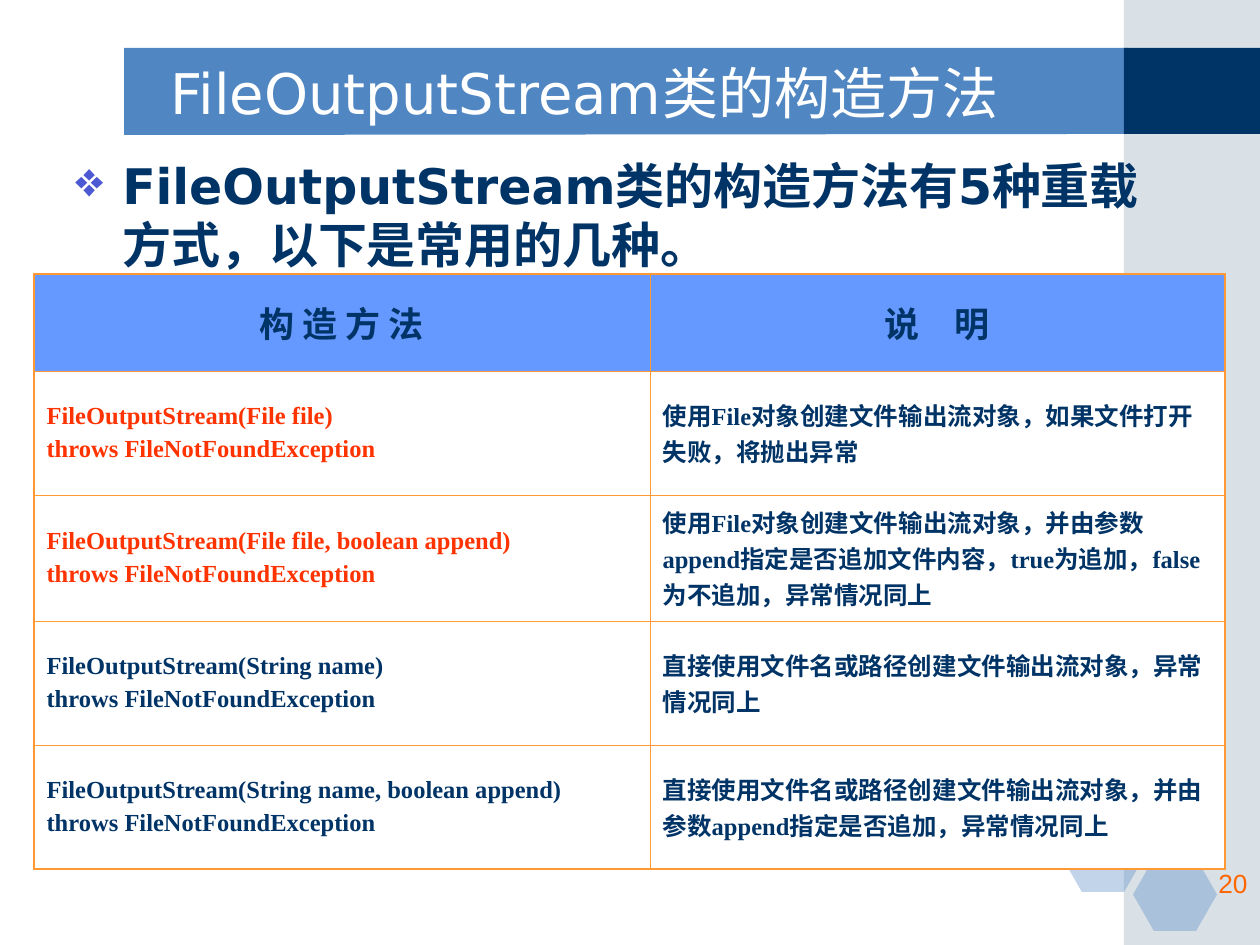
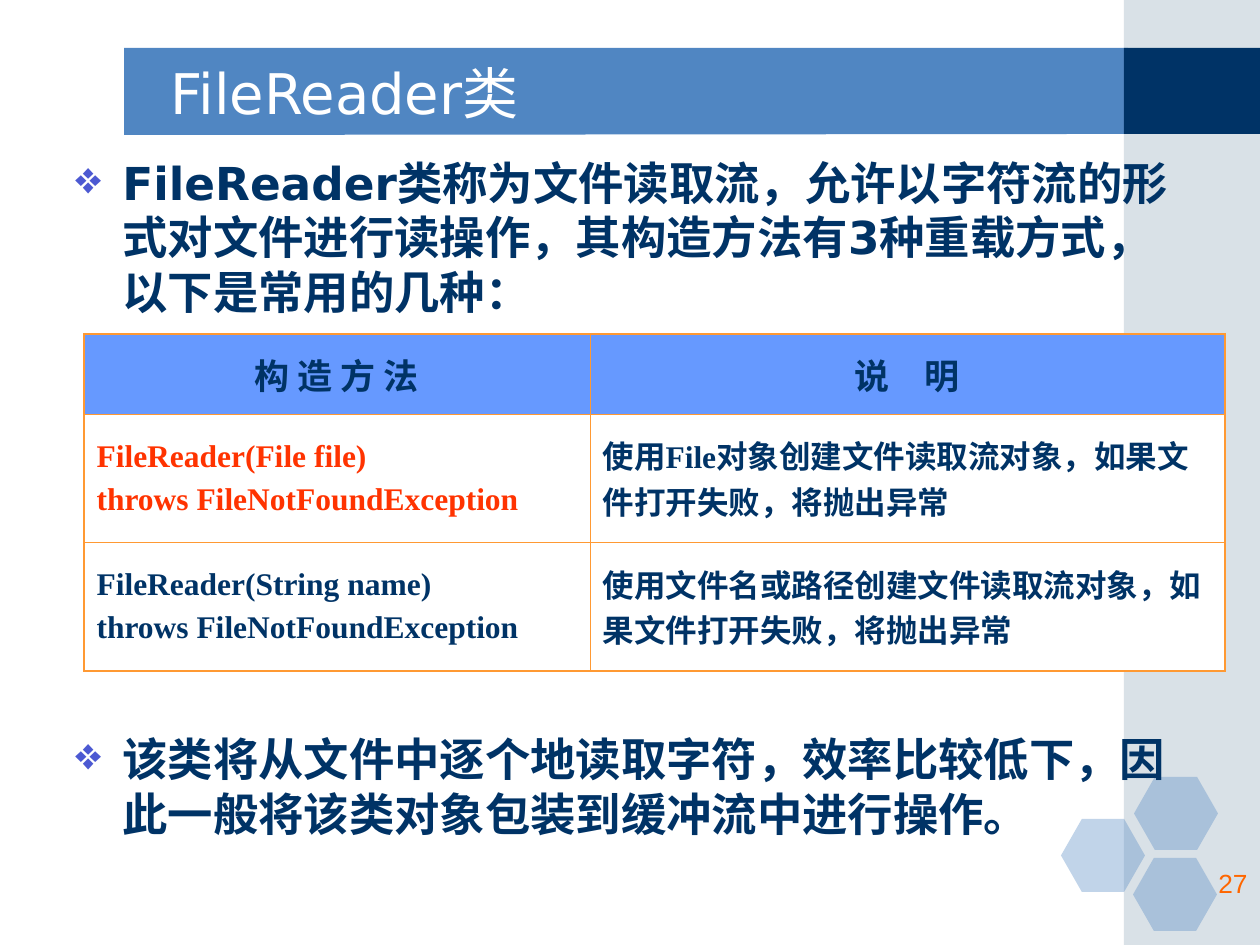
"""Builds two slides on the constructors of Java file stream classes."""
import itertools

import lxml.etree
import pptx
import pptx.dml.color
import pptx.enum.lang
import pptx.enum.shapes
import pptx.enum.text
import pptx.oxml.ns
import pptx.util

SCALE = 914400 / 126
COLOURS = {
    "band": "5086C2", "side": "A0B5C4", "navy": "003366", "white": "FFFFFF",
    "bullet": "4C59D2", "page": "FF6600", "border": "FF9933",
    "header": "6699FF", "highlight": "FF3300",
}
ALIGN = pptx.enum.text.PP_ALIGN
MIDDLE = pptx.enum.text.MSO_ANCHOR.MIDDLE
PRESET = pptx.enum.shapes.MSO_SHAPE
OUTER, INNER = 1.08, 0.45

TITLE_BAND = [(124, 48), (1128, 48), (1128, 134), (124, 135)]
DECORATIONS = [
    (PRESET.RECTANGLE, (1124, 0, 136, 945), "side", 40),
    (PRESET.RECTANGLE, (1124, 48, 136, 86), "navy", 100),
    (PRESET.HEXAGON, (1061, 819, 84, 73), "band", 35),
    (PRESET.HEXAGON, (1134, 777, 84, 73), "band", 35),
    (PRESET.HEXAGON, (1133, 858, 84, 73), "band", 35),
]
TITLE_BOX = (158, 53, 924, 78)
NOTES_BOX = (63, 149, 1134, 723)
PAGE_BOX = (998, 861, 262, 63)
NOTE_INDENT = 47

TITLE_FONT = {"name": "DejaVu Sans", "size": 32, "bold": False, "color": "white"}
NOTE_FONT = {"name": "DejaVu Sans", "bold": True, "color": "navy"}
PAGE_FONT = {"name": "Arial", "size": 15, "color": "page"}
HEADER_FONT = {"name": "Courier New", "size": 20, "bold": True, "color": "navy"}
CELL_FONT = {"name": "Times New Roman", "bold": True}

HEADERS = ["构 造 方 法", "说　明"]
THROWS = "throws FileNotFoundException"

SLIDES = [
    {
        "title": "FileOutputStream类的构造方法",
        "page": "20",
        "notes": ["FileOutputStream类的构造方法有5种重载方式，以下是常用的几种。"],
        "note_size": 28,
        "note_gap": 0,
        "corner": (34, 274),
        "columns": [616, 575],
        "rows": [97, 124, 126, 124, 124],
        "cell_size": 14,
        "constructors": [
            ("FileOutputStream(File file)", "highlight",
             "使用File对象创建文件输出流对象，如果文件打开失败，将抛出异常"),
            ("FileOutputStream(File file, boolean append)", "highlight",
             "使用File对象创建文件输出流对象，并由参数append指定是否追加文件内容，"
             "true为追加，false为不追加，异常情况同上"),
            ("FileOutputStream(String name)", "navy",
             "直接使用文件名或路径创建文件输出流对象，异常情况同上"),
            ("FileOutputStream(String name, boolean append)", "navy",
             "直接使用文件名或路径创建文件输出流对象，并由参数append指定是否追加，"
             "异常情况同上"),
        ],
    },
    {
        "title": "FileReader类",
        "page": "27",
        "notes": [
            "FileReader类称为文件读取流，允许以字符流的形式对文件进行读操作，"
            "其构造方法有3种重载方式，以下是常用的几种：",
            "该类将从文件中逐个地读取字符，效率比较低下，"
            "因此一般将该类对象包装到缓冲流中进行操作。",
        ],
        "note_size": 25.9,
        "note_gap": 413,
        "corner": (84, 334),
        "columns": [506, 635],
        "rows": [80, 128, 129],
        "cell_size": 18,
        "constructors": [
            ("FileReader(File file)", "highlight",
             "使用File对象创建文件读取流对象，如果文件打开失败，将抛出异常"),
            ("FileReader(String name)", "navy",
             "使用文件名或路径创建文件读取流对象，如果文件打开失败，将抛出异常"),
        ],
    },
]


def px(length):
    """Turn px into EMU."""
    return pptx.util.Emu(round(length * SCALE))


def place(box):
    """Turn a box in px into EMU."""
    return [px(length) for length in box]


def rgb(colour):
    """Look up a named colour."""
    return pptx.dml.color.RGBColor.from_string(COLOURS[colour])


def add_xml(parent, tag, **attributes):
    """Append a drawing element."""
    return lxml.etree.SubElement(parent, pptx.oxml.ns.qn(tag), attributes)


def paint(part, colour, opacity=100):
    """Give a shape a flat fill without line or shadow."""
    part.shadow.inherit = False
    part.line.fill.background()
    part.fill.solid()
    part.fill.fore_color.rgb = rgb(colour)
    if opacity < 100:
        for value in part.element.spPr.iter(pptx.oxml.ns.qn("a:srgbClr")):
            add_xml(value, "a:alpha", val=str(opacity * 1000))


def write(paragraph, text, look, align=ALIGN.LEFT):
    """Put one formatted run in a paragraph."""
    paragraph.alignment = align
    run = paragraph.add_run()
    run.text = text
    run.font.language_id = pptx.enum.lang.MSO_LANGUAGE_ID.SIMPLIFIED_CHINESE
    for key, value in look.items():
        if key == "color":
            run.font.color.rgb = rgb(value)
        else:
            setattr(run.font, key, pptx.util.Pt(value) if key == "size" else value)


def write_lines(frame, lines, look, align=ALIGN.LEFT, gap=0):
    """Write one paragraph per line and return the paragraphs."""
    for number, line in enumerate(lines):
        paragraph = frame.add_paragraph() if number else frame.paragraphs[0]
        if number:
            paragraph.space_before = gap
        write(paragraph, line, look, align)
    return frame.paragraphs


def add_text(slide, box, lines, look, **layout):
    """Add a wrapping text box."""
    frame = slide.shapes.add_textbox(*place(box)).text_frame
    frame.word_wrap = True
    return write_lines(frame, lines, look, **layout)


def add_backdrop(slide):
    """Draw the bands and hexagons."""
    builder = slide.shapes.build_freeform(*TITLE_BAND[0], scale=SCALE)
    builder.add_line_segments(TITLE_BAND[1:], close=True)
    paint(builder.convert_to_shape(), "band")
    for preset, box, colour, opacity in DECORATIONS:
        part = slide.shapes.add_shape(preset, *place(box))
        if preset == PRESET.HEXAGON:
            part.adjustments[0] = 0.286
        paint(part, colour, opacity)


def add_title(slide, text):
    """Format the title and lift it above the band."""
    title = slide.shapes.title
    title.left, title.top, title.width, title.height = place(TITLE_BOX)
    title.element.getparent().append(title.element)
    frame = title.text_frame
    frame.vertical_anchor = MIDDLE
    frame.auto_size = pptx.enum.text.MSO_AUTO_SIZE.NONE
    write(frame.paragraphs[0], text, TITLE_FONT)


def add_notes(slide, content):
    """Write the bulleted statements."""
    look = {**NOTE_FONT, "size": content["note_size"]}
    for paragraph in add_text(slide, NOTES_BOX, content["notes"], look,
                              gap=px(content["note_gap"])):
        properties = paragraph._p.get_or_add_pPr()
        properties.set("marL", str(px(NOTE_INDENT)))
        properties.set("indent", str(-px(NOTE_INDENT)))
        add_xml(add_xml(properties, "a:buClr"), "a:srgbClr", val=COLOURS["bullet"])
        add_xml(properties, "a:buChar", char="❖")


def style_cell(cell, fill, outer_sides):
    """Draw the borders and fill of a cell."""
    cell.vertical_anchor = MIDDLE
    properties = cell._tc.get_or_add_tcPr()
    for side in "LRTB":
        weight = pptx.util.Pt(OUTER if side in outer_sides else INNER)
        line = add_xml(properties, f"a:ln{side}", w=str(weight))
        add_xml(add_xml(line, "a:solidFill"), "a:srgbClr", val=COLOURS["border"])
    cell.fill.solid()
    cell.fill.fore_color.rgb = rgb(fill)


def add_constructors(slide, content):
    """Add the table of constructors."""
    columns, rows = content["columns"], content["rows"]
    box = (*content["corner"], sum(columns), sum(rows))
    table = slide.shapes.add_table(len(rows), len(columns), *place(box)).table
    table.first_row = table.horz_banding = False
    for column, width in zip(table.columns, columns):
        column.width = px(width)
    for row, height in zip(table.rows, rows):
        row.height = px(height)
    for r, c in itertools.product(range(len(rows)), range(len(columns))):
        edges = {"L": c == 0, "R": c == len(columns) - 1,
                 "T": r == 0, "B": r == len(rows) - 1}
        style_cell(table.cell(r, c), "white" if r else "header",
                   [side for side, outer in edges.items() if outer])
    for c, header in enumerate(HEADERS):
        write_lines(table.cell(0, c).text_frame, [header], HEADER_FONT, ALIGN.CENTER)
    size = content["cell_size"]
    look = {**CELL_FONT, "size": size}
    for r, (signature, colour, meaning) in enumerate(content["constructors"], 1):
        write_lines(table.cell(r, 0).text_frame, [signature, THROWS],
                    {**look, "color": colour}, gap=pptx.util.Pt(size / 4))
        write_lines(table.cell(r, 1).text_frame, [meaning], {**look, "color": "navy"})


def main():
    """Build and save the presentation."""
    deck = pptx.Presentation()
    deck.slide_width, deck.slide_height = px(1260), px(945)
    for content in SLIDES:
        slide = deck.slides.add_slide(deck.slide_layouts[5])
        add_backdrop(slide)
        add_title(slide, content["title"])
        add_notes(slide, content)
        add_text(slide, PAGE_BOX, [content["page"]], PAGE_FONT, align=ALIGN.RIGHT)
        add_constructors(slide, content)
    deck.save("out.pptx")


if __name__ == "__main__":
    main()
